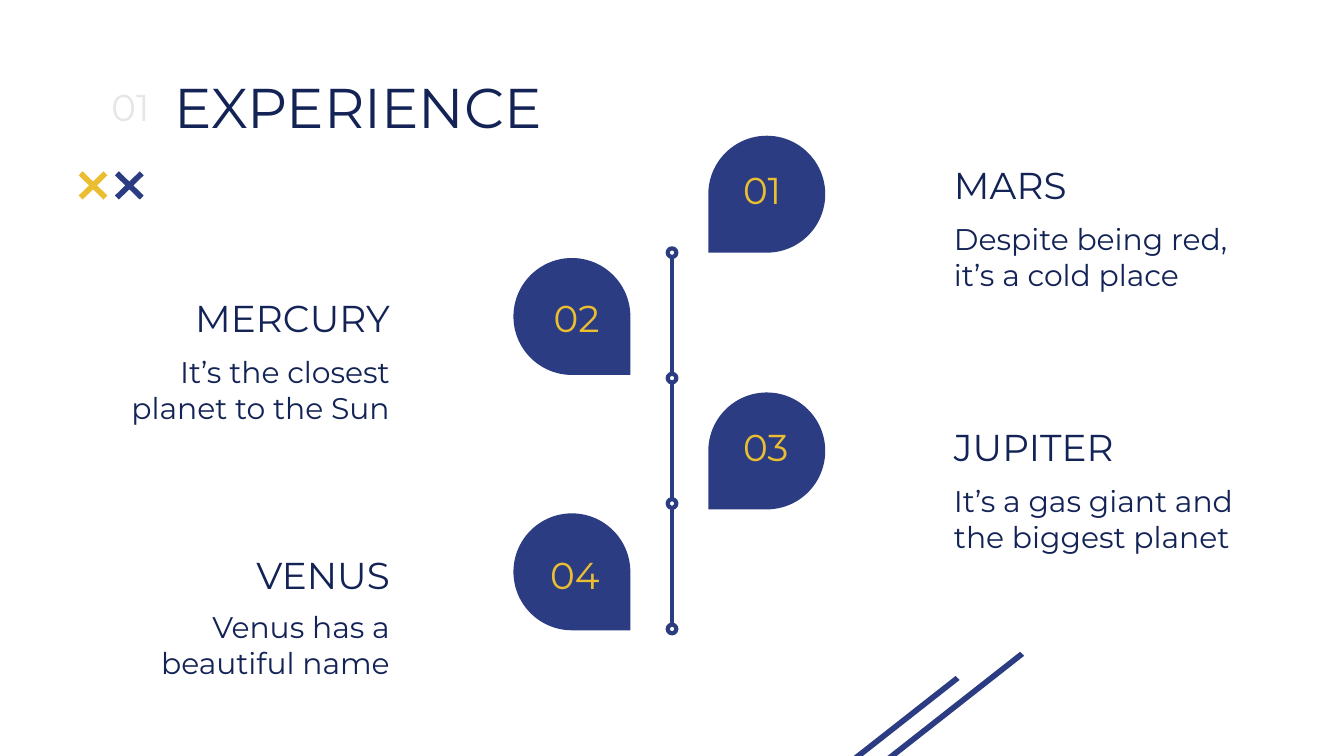
"""Build the experience timeline slide with four planets on alternating sides."""
from dataclasses import dataclass

from lxml import etree
from pptx import Presentation
from pptx.dml.color import RGBColor
from pptx.enum.shapes import MSO_CONNECTOR, MSO_SHAPE
from pptx.enum.text import MSO_ANCHOR, MSO_AUTO_SIZE, PP_ALIGN
from pptx.oxml.ns import qn
from pptx.util import Inches, Pt

STRAIGHT = MSO_CONNECTOR.STRAIGHT
TEAR, OVAL = MSO_SHAPE.TEAR, MSO_SHAPE.OVAL
TOP, BOTTOM = MSO_ANCHOR.TOP, MSO_ANCHOR.BOTTOM
LEFT, RIGHT = PP_ALIGN.LEFT, PP_ALIGN.RIGHT

COLORS = {"navy": "132356", "blue": "2B3C82", "gold": "EBBE31",
          "grey": "E7E6E6", "white": "FFFFFF"}
FONT = "Montserrat"
WIDTH, HEIGHT = Inches(10), Inches(5.625)
CELL = WIDTH / 100
DROP, LABEL_H, BODY_H, TEXT_W = 8.7, 5.7, 7.4, 24.3
SPINE_X, SPINE_TOP, SPINE_H, DOT = 50, 18.8, 28, 0.64


@dataclass
class Side:
    """Columns and alignment shared by the entries on one side."""
    drop: float
    number: float
    words: float
    turn: int
    align: PP_ALIGN


@dataclass
class Entry:
    """One planet, with its rows on the grid."""
    number: str
    name: str
    note: str
    side: Side
    drop: float
    label: float
    note_row: float
    anchor: MSO_ANCHOR = BOTTOM


@dataclass
class Cross:
    """A small decorative cross."""
    x: float
    color: str


WEST = Side(38.2, 35.5, 5.7, 90, RIGHT)
EAST = Side(52.7, 54.3, 70, 180, LEFT)
ENTRIES = [
    Entry("01", "MARS", "Despite being red, it’s a cold place", EAST, 10.1, 11.1, 15.4, TOP),
    Entry("02", "MERCURY", "It’s the closest planet to the Sun", WEST, 19.2, 20.6, 25.3),
    Entry("03", "JUPITER", "It’s a gas giant and the biggest planet", EAST, 29.2, 30.2, 34.9),
    Entry("04", "VENUS", "Venus has a beautiful name", WEST, 38.2, 39.7, 44.3),
]
CROSSES = [Cross(6, "gold"), Cross(8.7, "blue")]
STRIPES = [(75.9, 48.5), (71.1, 50.3)]


def grid(*cells: float) -> list[int]:
    """Turn grid cells into lengths."""
    return [round(c * CELL) for c in cells]


def rgb(name: str) -> RGBColor:
    """Look up a colour."""
    return RGBColor.from_string(COLORS[name])


def write(sp, text: str, size: int, color: str, anchor=BOTTOM, align=LEFT) -> None:
    """Fill a shape with one formatted run."""
    tf = sp.text_frame
    tf.word_wrap = True
    tf.auto_size = MSO_AUTO_SIZE.NONE
    tf.vertical_anchor = anchor
    tf.margin_left = tf.margin_right = tf.margin_top = tf.margin_bottom = Inches(0.1)
    p = tf.paragraphs[0]
    p.alignment = align
    p.line_spacing = 1.0
    p.space_before = Pt(0)
    r = p.add_run()
    r.text = text
    r.font.name, r.font.size = FONT, Pt(size)
    r.font.color.rgb = rgb(color)


def add_text(s, box: tuple, text: str, size: int, color: str, anchor=BOTTOM, align=LEFT) -> None:
    """Add a text box on the grid."""
    write(s.shapes.add_textbox(*grid(*box)), text, size, color, anchor, align)


def paint(sp, fill: str, line: str | None = None) -> None:
    """Set a shape's fill and outline."""
    sp.shadow.inherit = False
    sp.fill.solid()
    sp.fill.fore_color.rgb = rgb(fill)
    if line:
        sp.line.color.rgb = rgb(line)
        sp.line.width = Pt(2.25)
    else:
        sp.line.fill.background()


def add_line(s, ends: tuple, color: str, width: float) -> None:
    """Add a straight line between two grid points."""
    cx = s.shapes.add_connector(STRAIGHT, *grid(*ends))
    cx.line.color.rgb = rgb(color)
    cx.line.width = Pt(width)
    etree.SubElement(cx._element.spPr, qn("a:effectLst"))


def add_stripe(s, x: float, y: float) -> None:
    """Add a slanted bar running down from its upper corner."""
    steps = [(-13.5, 10.6), (-13.2, 10.9), (0.3, 0.3)]
    fb = s.shapes.build_freeform(*grid(x, y), scale=1.0)
    fb.add_line_segments([tuple(grid(x + dx, y + dy)) for dx, dy in steps])
    paint(fb.convert_to_shape(), "blue")


def add_entry(s, e: Entry) -> None:
    """Add a numbered drop with its name and note."""
    side = e.side
    sp = s.shapes.add_shape(TEAR, *grid(side.drop if side is EAST else side.drop, e.drop, DROP, DROP))
    sp.rotation = side.turn
    paint(sp, "blue")
    add_text(s, (side.number, e.label, 10.1, LABEL_H), e.number, 20, "gold", align=side.align)
    add_text(s, (side.words, e.label, TEXT_W, LABEL_H), e.name, 20, "navy", e.anchor, side.align)
    add_text(s, (side.words, e.note_row, TEXT_W, BODY_H), e.note, 16, "navy", TOP, side.align)


def add_spine(s) -> None:
    """Add the timeline with one dot per entry."""
    add_line(s, (SPINE_X, SPINE_TOP, SPINE_X, SPINE_TOP + SPINE_H), "blue", 2.25)
    for i in range(len(ENTRIES)):
        y = SPINE_TOP + i * SPINE_H / (len(ENTRIES) - 1)
        sp = s.shapes.add_shape(OVAL, *grid(SPINE_X - DOT / 2, y - DOT / 2, DOT, DOT))
        paint(sp, "white", "blue")


def add_cross(s, c: Cross) -> None:
    """Add two crossing strokes."""
    top, bottom, right = 12.9, 14.7, c.x + 1.85
    add_line(s, (right, top, c.x, bottom), c.color, 3)
    add_line(s, (right, bottom, c.x, top), c.color, 3)


def main() -> None:
    """Build and save the slide."""
    prs = Presentation()
    prs.slide_width, prs.slide_height = WIDTH, HEIGHT
    s = prs.slides.add_slide(prs.slide_layouts[5])
    title = s.shapes.title
    title.left, title.top, title.width, title.height = grid(12, 4.5, 37.8, 6.9)
    write(title, "EXPERIENCE", 30, "navy")
    add_text(s, (7.3, 4.9, 6, LABEL_H), "01", 20, "grey")
    for x, y in STRIPES:
        add_stripe(s, x, y)
    for e in ENTRIES:
        add_entry(s, e)
    add_spine(s)
    for c in CROSSES:
        add_cross(s, c)
    prs.save("out.pptx")


if __name__ == "__main__":
    main()
